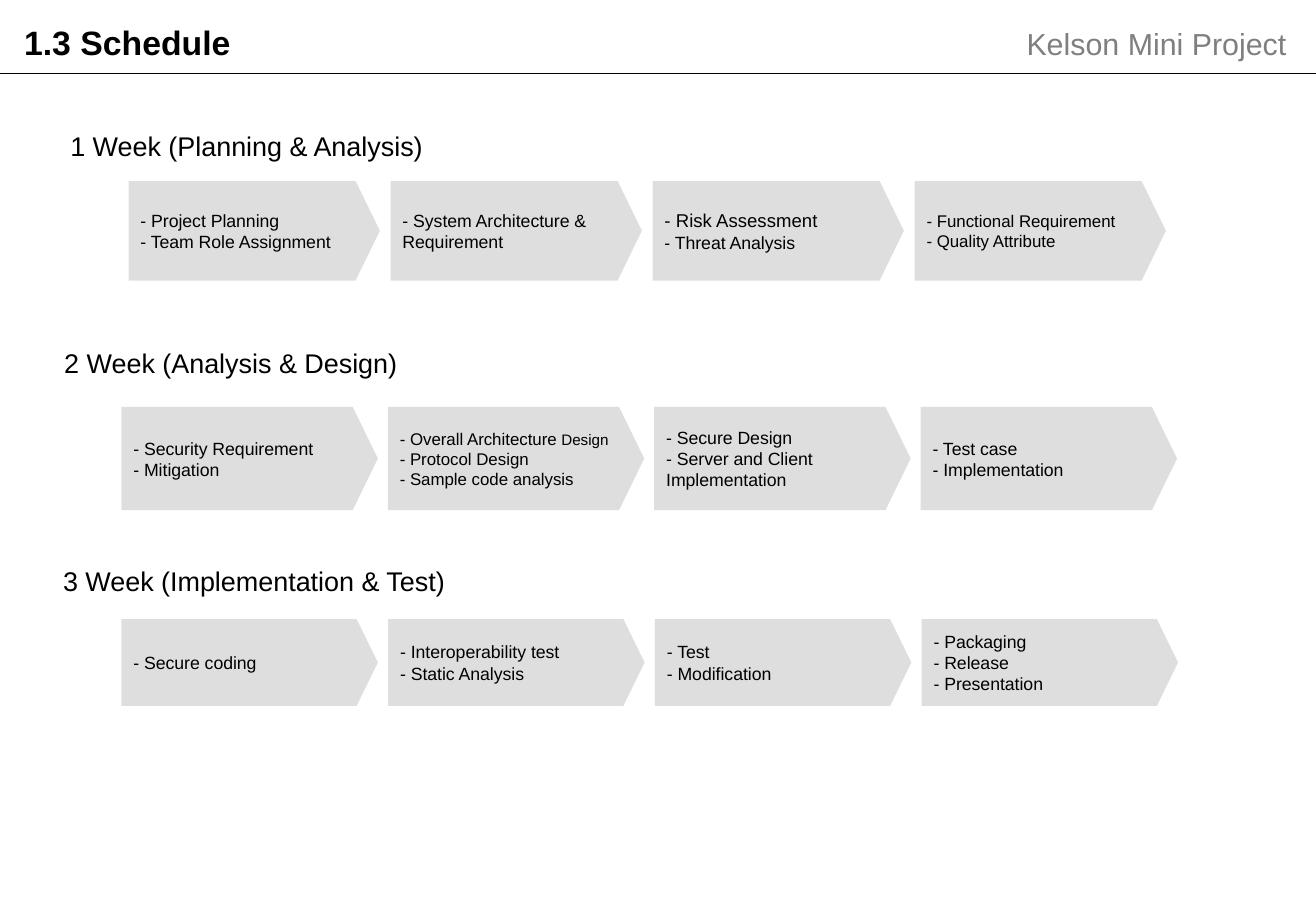
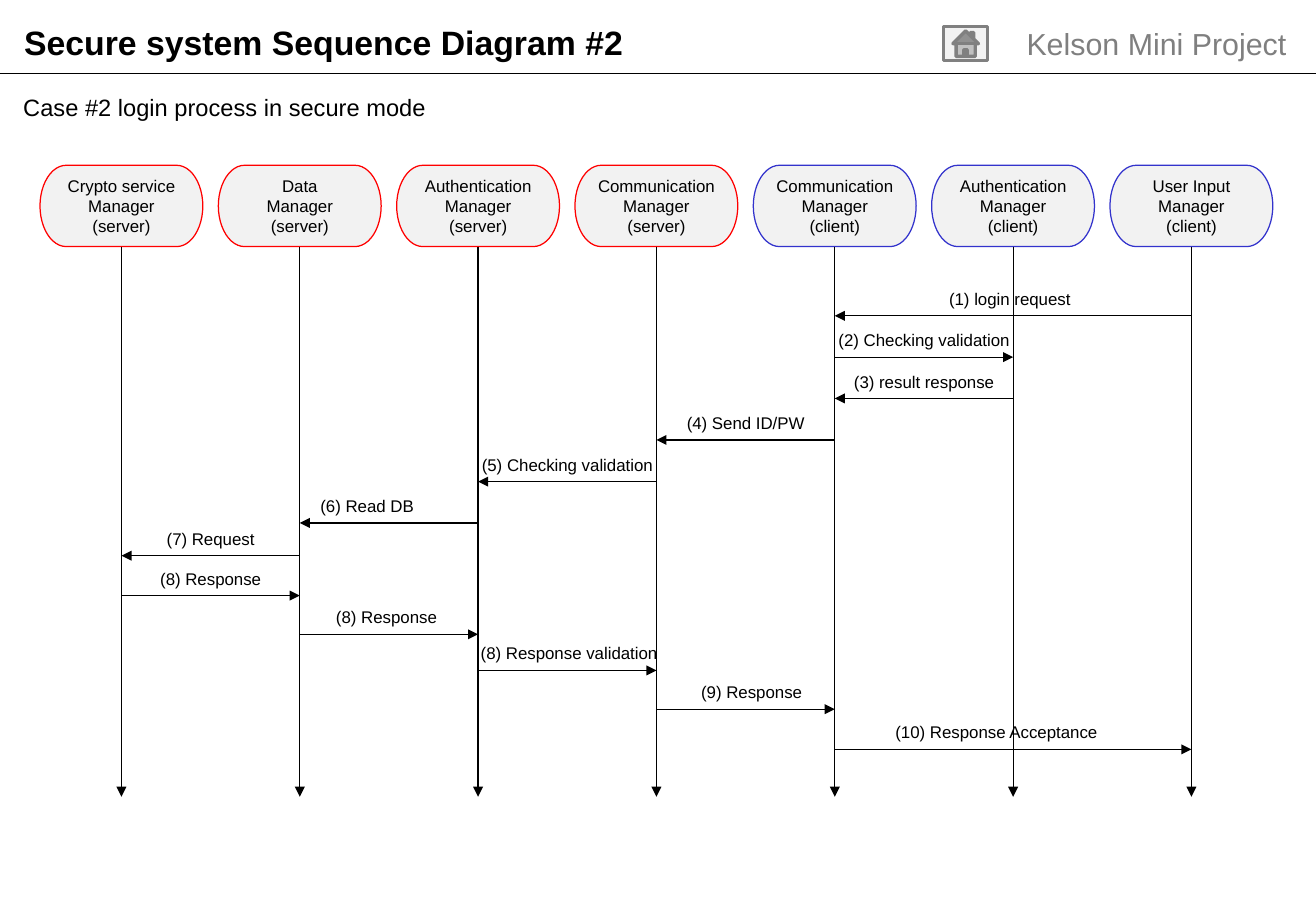
from pptx import Presentation
from pptx.dml.color import RGBColor
from pptx.enum.shapes import MSO_CONNECTOR, MSO_SHAPE
from pptx.enum.text import MSO_ANCHOR, PP_ALIGN
from pptx.oxml.ns import qn
from pptx.util import Pt
from lxml import etree

STRAIGHT = MSO_CONNECTOR.STRAIGHT
PENTAGON = MSO_SHAPE.PENTAGON
TERMINATOR = MSO_SHAPE.FLOWCHART_TERMINATOR
HOME = MSO_SHAPE.ACTION_BUTTON_HOME
TOP, MIDDLE = MSO_ANCHOR.TOP, MSO_ANCHOR.MIDDLE
LEFT, CENTER, RIGHT, JUSTIFY = (
    PP_ALIGN.LEFT, PP_ALIGN.CENTER, PP_ALIGN.RIGHT, PP_ALIGN.JUSTIFY)

FONT = "Arial"
BLACK, GRAY, CARD = "000000", "7F7F7F", "BFBFBF"
PALE, BORDER, RED, BLUE = "F2F2F2", "808080", "FF0000", "3333CC"
SLIDE_W, SLIDE_H = 780, 540
HEADER_Y = 43.4
LANE_X, LANE_PITCH = 72, 105.7
LANE_W, LANE_H, LANE_TOP, LANE_END = 96.5, 48.2, 98, 472.3
LABEL_W, LABEL_H = 144, 19.5

WEEKS = [
    ("1 Week (Planning & Analysis)", (34.6, 73.4), (76.2, 107.3), 155.3, (149, 59), [
        (10.5, ["- Project Planning", "- Team Role Assignment"]),
        (10.5, ["- System Architecture & Requirement"]),
        (10.5, [[("- Risk Assessment", 11)], "- Threat Analysis"]),
        (10, ["- Functional Requirement", "- Quality Attribute"]),
    ]),
    ("2 Week (Analysis & Design)", (31, 201.6), (72, 241.2), 157.9, (152, 61.2), [
        (10.5, ["- Security Requirement", "- Mitigation"]),
        (10, [[("- Overall Architecture ", 10), ("Design", 9)],
              "- Protocol Design", "- Sample code analysis"]),
        (10.5, ["- Secure Design", "- Server and Client Implementation"]),
        (10.5, ["- Test case", "- Implementation"]),
    ]),
    ("3 Week (Implementation & Test)", (30.3, 331.2), (72, 367), 158.1, (152, 51.4), [
        (10.5, ["- Secure coding"]),
        (10.5, ["- Interoperability test", "- Static Analysis"]),
        (10.5, ["- Test", "- Modification"]),
        (10.5, ["- Packaging", "- Release", "- Presentation"]),
    ]),
]

LANES = [
    (["Crypto service", "Manager", "(server)"], RED),
    (["Data", "Manager", "(server)"], RED),
    (["Authentication Manager", "(server)"], RED),
    (["Communication Manager", "(server)"], RED),
    (["Communication Manager", "(client)"], BLUE),
    (["Authentication Manager", "(client)"], BLUE),
    (["User Input Manager", "(client)"], BLUE),
]

MESSAGES = [
    ("(1) login request", 6, 4, 187.2, -2),
    ("(2) Checking validation", 4, 5, 211.7, 0),
    ("(3) result response", 5, 4, 236.2, 0),
    ("(4) Send ID/PW", 4, 3, 260.8, 0),
    ("(5) Checking validation", 3, 2, 285.5, 0),
    ("(6) Read DB", 2, 1, 310, -13),
    ("(7) Request", 1, 0, 329.4, 0),
    ("(8) Response", 0, 1, 353, 0),
    ("(8) Response", 1, 2, 376, -1.5),
    ("(8) Response validation", 2, 3, 397.4, 1),
    ("(9) Response", 3, 4, 420.4, 3.5),
    ("(10) Response Acceptance", 4, 6, 444.2, -10),
]


def rgb(value):
    return RGBColor.from_string(value)


def write(sp, lines, size=10, color=BLACK, bold=False, align=LEFT, anchor=TOP,
          spacing=None, after=None, inset=(7.2, 3.6)):
    tf = sp.text_frame
    tf.word_wrap = True
    tf.vertical_anchor = anchor
    tf.margin_left = tf.margin_right = Pt(inset[0])
    tf.margin_top = tf.margin_bottom = Pt(inset[1])
    for i, line in enumerate(lines):
        p = tf.add_paragraph() if i else tf.paragraphs[0]
        p.alignment = align
        if spacing:
            p.line_spacing = spacing
        if after:
            p.space_after = Pt(after)
        for text, run_size in [(line, size)] if isinstance(line, str) else line:
            r = p.add_run()
            r.text = text
            r.font.name = FONT
            r.font.size = Pt(run_size)
            r.font.bold = bold
            r.font.color.rgb = rgb(color)


def add_text(s, text, x, y, w, h, **fmt):
    write(s.shapes.add_textbox(Pt(x), Pt(y), Pt(w), Pt(h)), [text], **fmt)


def add_box(s, kind, x, y, w, h, fill, line=None, width=0.75):
    sp = s.shapes.add_shape(kind, Pt(x), Pt(y), Pt(w), Pt(h))
    sp.shadow.inherit = False
    sp.fill.solid()
    sp.fill.fore_color.rgb = rgb(fill)
    if line:
        sp.line.color.rgb = rgb(line)
        sp.line.width = Pt(width)
    else:
        sp.line.fill.background()
    return sp


def add_line(s, x1, y1, x2, y2, arrow=False):
    cx = s.shapes.add_connector(STRAIGHT, Pt(x1), Pt(y1), Pt(x2), Pt(y2))
    cx.line.color.rgb = rgb(BLACK)
    cx.line.width = Pt(0.75)
    props = cx.element.spPr
    if arrow:
        etree.SubElement(props.find(qn("a:ln")), qn("a:tailEnd"), type="triangle")
    etree.SubElement(props, qn("a:effectLst"))
    return cx


def add_card(s, x, y, w, h, lines, size):
    sp = add_box(s, PENTAGON, x, y, w, h, CARD)
    sp.adjustments[0] = 0.244
    color = sp.element.spPr.find(qn("a:solidFill"))[0]
    etree.SubElement(color, qn("a:alpha"), val="50000")
    write(sp, lines, size=size, anchor=MIDDLE)


def add_week(s, title, title_at, cards_at, pitch, card_size, cards):
    add_text(s, title, *title_at, 280, 26.6, size=16)
    x, y = cards_at
    for i, (size, lines) in enumerate(cards):
        add_card(s, x + i * pitch, y, *card_size, lines, size)


def lane_x(i):
    return LANE_X + i * LANE_PITCH


def add_lane(s, i, lines, color):
    x = lane_x(i)
    sp = add_box(s, TERMINATOR, x - LANE_W / 2, LANE_TOP, LANE_W, LANE_H, PALE, color)
    write(sp, lines, align=CENTER, anchor=MIDDLE)
    cx = add_line(s, x, LANE_TOP + LANE_H, x, LANE_END, arrow=True)
    cx.begin_connect(sp, 2)


def add_message(s, text, start, end, y, shift):
    x1, x2 = lane_x(start), lane_x(end)
    add_line(s, x1, y, x2, y, arrow=True)
    label_x = (x1 + x2 - LABEL_W) / 2 + shift
    add_text(s, text, label_x, y - 19.7, LABEL_W, LABEL_H, align=CENTER)


def add_slide(prs, title):
    s = prs.slides.add_slide(prs.slide_layouts[6])
    add_line(s, 0, HEADER_Y, SLIDE_W, HEADER_Y)
    add_text(s, title, 7.2, 9.4, 461, 31.7, size=20, bold=True)
    add_text(s, "Kelson Mini Project", 548.6, 11.5, 221, 28.8,
             size=18, color=GRAY, align=RIGHT)
    return s


def build_schedule(prs):
    s = add_slide(prs, "1.3 Schedule")
    for week in WEEKS:
        add_week(s, *week)


def build_sequence(prs):
    s = add_slide(prs, "Secure system Sequence Diagram #2")
    add_text(s, "Case #2 login process in secure mode", 8, 51, 762, 34,
             size=14, align=JUSTIFY, spacing=1.07, after=10, inset=(5.8, 2.9))
    for i, (lines, color) in enumerate(LANES):
        add_lane(s, i, lines, color)
    for message in MESSAGES:
        add_message(s, *message)
    add_box(s, HOME, 559.4, 15.8, 26, 20.2, PALE, BORDER, width=2)


def main():
    prs = Presentation()
    prs.slide_width, prs.slide_height = Pt(SLIDE_W), Pt(SLIDE_H)
    build_schedule(prs)
    build_sequence(prs)
    prs.save("out.pptx")


if __name__ == "__main__":
    main()
